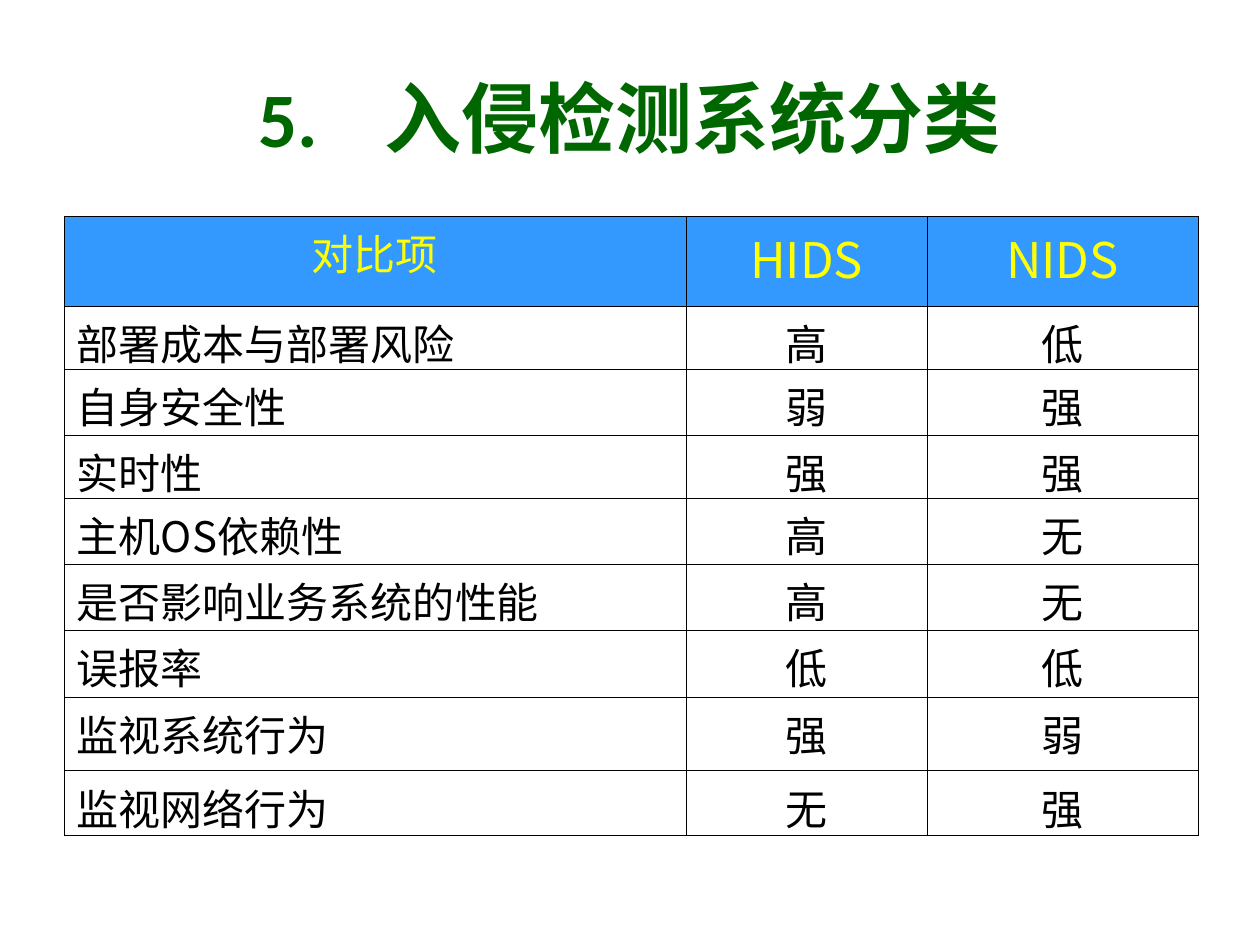
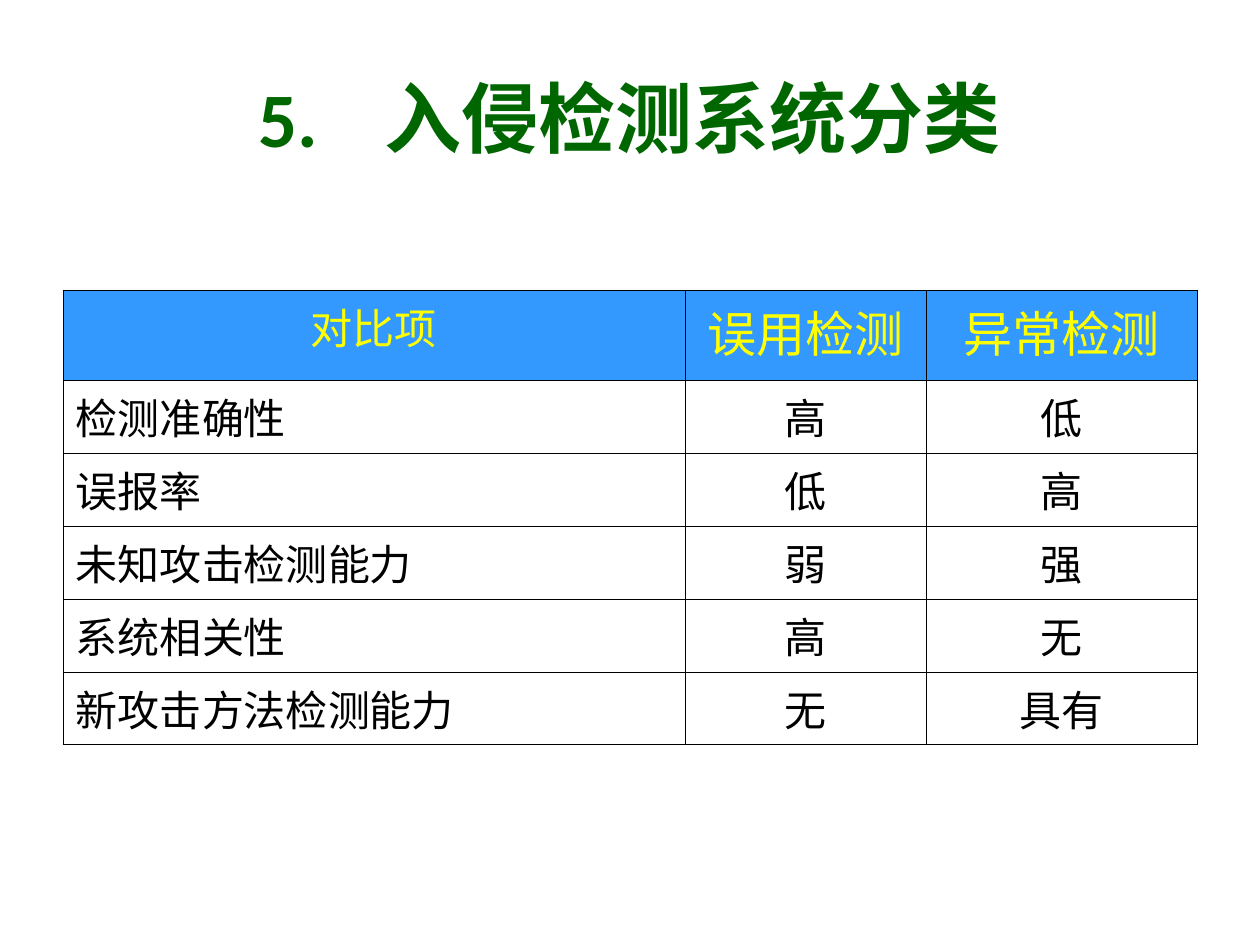
from dataclasses import dataclass

from lxml.etree import SubElement
from pptx import Presentation
from pptx.dml.color import RGBColor
from pptx.enum.text import MSO_ANCHOR, PP_ALIGN
from pptx.oxml.ns import qn
from pptx.util import Emu, Inches, Pt

EMU_PER_PX = Inches(1) / 126


def px(length):
    return Emu(round(length * EMU_PER_PX))


def assign(target, values):
    for name, value in values.items():
        setattr(target, name, value)


@dataclass(frozen=True)
class Theme:
    title_color: str = "006600"
    header_color: str = "FFFF00"
    header_fill: str = "3399FF"
    body_color: str = "000000"
    border_color: str = "000000"
    border_width: float = 0.45
    title_font: str = "Calibri"
    body_font: str = "Noto Sans CJK SC"
    title_size: int = 44
    header_size: int = 28
    body_size: int = 24


class Deck:
    def __init__(self, theme):
        self.theme = theme
        self.presentation = Presentation()
        assign(self.presentation, {"slide_width": px(1260), "slide_height": px(945)})
        self.slide = None

    def add_slide(self, title):
        self.slide = self.presentation.slides.add_slide(self.presentation.slide_layouts[5])
        heading = self.slide.shapes.title
        assign(heading, {"left": px(63), "top": px(38), "width": px(1134), "height": px(158)})
        assign(heading.text_frame, {"vertical_anchor": MSO_ANCHOR.MIDDLE, "word_wrap": True})
        paragraph = heading.text_frame.paragraphs[0]
        stops = SubElement(paragraph._p.get_or_add_pPr(), qn("a:tabLst"))
        for inch in range(8):
            SubElement(stops, qn("a:tab"), pos=str(Inches(inch)), algn="l")
        theme = self.theme
        self.add_text(paragraph, title, PP_ALIGN.CENTER, theme.title_font,
                      theme.title_size, theme.title_color, True)

    def add_text(self, paragraph, text, alignment, font, size, color, bold=False):
        paragraph.alignment = alignment
        run = paragraph.add_run()
        run.text = text
        assign(run.font, {"name": font, "size": Pt(size), "bold": bold})
        run.font.color.rgb = RGBColor.from_string(color)
        SubElement(run.font._element, qn("a:ea"), typeface=self.theme.body_font)

    def add_borders(self, cell):
        properties = cell._tc.get_or_add_tcPr()
        for side in ("lnL", "lnR", "lnT", "lnB"):
            line = SubElement(properties, qn(f"a:{side}"), w=str(Pt(self.theme.border_width)))
            fill = SubElement(line, qn("a:solidFill"))
            SubElement(fill, qn("a:srgbClr"), val=self.theme.border_color)

    def add_comparison(self, left, top, column_widths, row_heights, entries, bottom_inset):
        frame = self.slide.shapes.add_table(
            len(entries), len(column_widths), px(left), px(top),
            px(sum(column_widths)), px(sum(row_heights)))
        table = frame.table
        assign(table, {"first_row": False, "horz_banding": False})
        for column, width in zip(table.columns, column_widths):
            column.width = px(width)
        for row, height in zip(table.rows, row_heights):
            row.height = px(height)
        for row_index, entry in enumerate(entries):
            for column_index, text in enumerate(entry):
                self.fill_cell(table.cell(row_index, column_index), text,
                               row_index == 0, column_index == 0, bottom_inset)

    def fill_cell(self, cell, text, is_header, is_criterion, bottom_inset):
        theme = self.theme
        assign(cell, {"margin_left": px(13), "margin_right": px(13), "margin_top": px(6),
                      "margin_bottom": px(bottom_inset), "vertical_anchor": MSO_ANCHOR.TOP})
        self.add_borders(cell)
        if is_header:
            cell.fill.solid()
            cell.fill.fore_color.rgb = RGBColor.from_string(theme.header_fill)
        else:
            cell.fill.background()
        self.add_text(
            cell.text_frame.paragraphs[0], text,
            PP_ALIGN.LEFT if is_criterion and not is_header else PP_ALIGN.CENTER,
            theme.body_font,
            theme.header_size if is_header and not is_criterion else theme.body_size,
            theme.header_color if is_header else theme.body_color)


TITLE = "5.\t入侵检测系统分类"
COLUMN_WIDTHS = (622, 241, 271)
HEADER_HEIGHT = 90

DEPLOYMENT = (
    ("对比项", "HIDS", "NIDS"),
    ("部署成本与部署风险", "高", "低"),
    ("自身安全性", "弱", "强"),
    ("实时性", "强", "强"),
    ("主机OS依赖性", "高", "无"),
    ("是否影响业务系统的性能", "高", "无"),
    ("误报率", "低", "低"),
    ("监视系统行为", "强", "弱"),
    ("监视网络行为", "无", "强"),
)
DEPLOYMENT_HEIGHTS = (HEADER_HEIGHT, 63, 66, 63, 66, 66, 67, 74, 65)

DETECTION = (
    ("对比项", "误用检测", "异常检测"),
    ("检测准确性", "高", "低"),
    ("误报率", "低", "高"),
    ("未知攻击检测能力", "弱", "强"),
    ("系统相关性", "高", "无"),
    ("新攻击方法检测能力", "无", "具有"),
)
DETECTION_HEIGHTS = (HEADER_HEIGHT,) + (73,) * (len(DETECTION) - 1)


def main():
    deck = Deck(Theme())
    deck.add_slide(TITLE)
    deck.add_comparison(64, 216, COLUMN_WIDTHS, DEPLOYMENT_HEIGHTS, DEPLOYMENT, -4)
    deck.add_slide(TITLE)
    deck.add_comparison(63, 290, COLUMN_WIDTHS, DETECTION_HEIGHTS, DETECTION, 6)
    deck.presentation.save("out.pptx")


if __name__ == "__main__":
    main()
